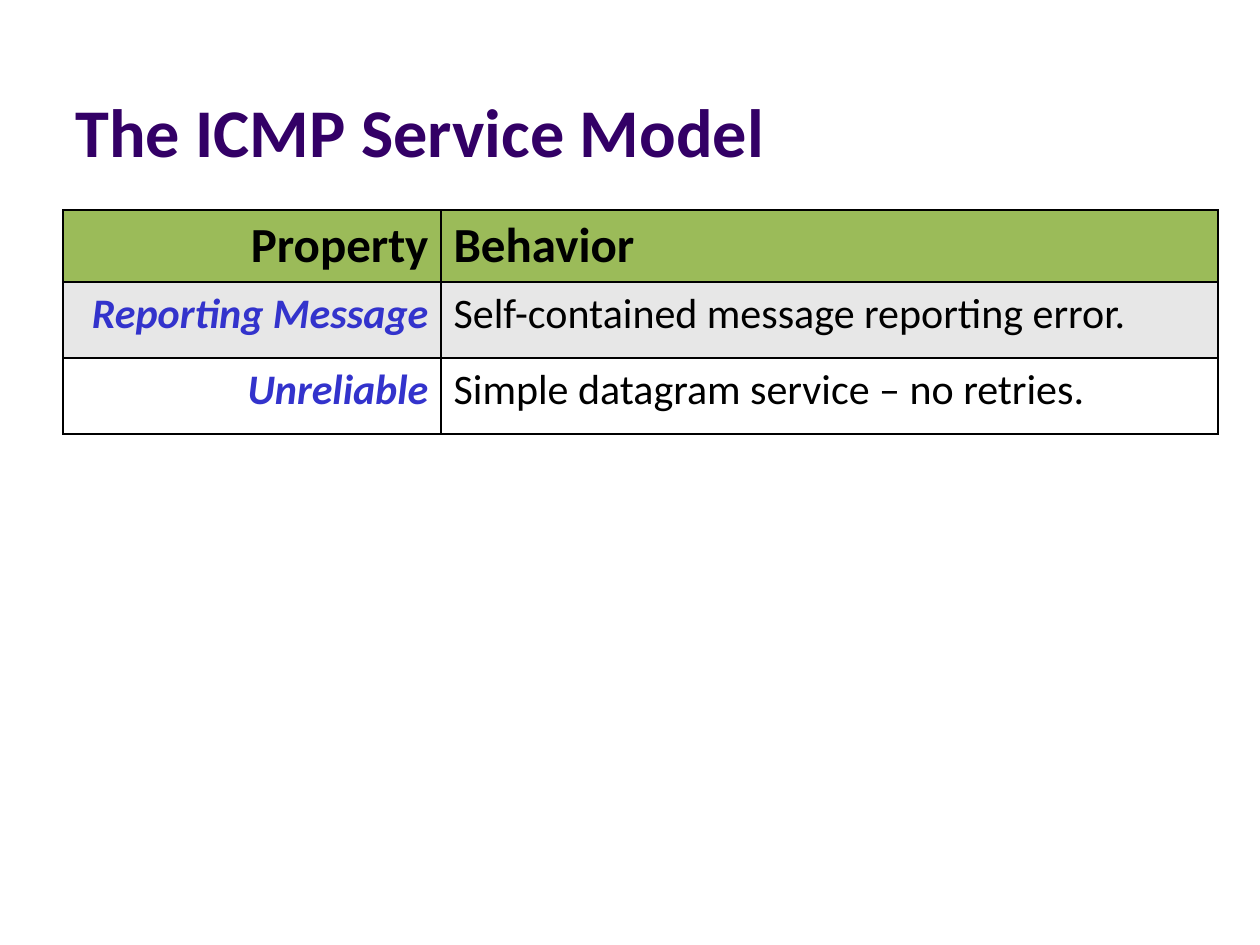
from dataclasses import dataclass

from lxml import etree
from pptx import Presentation
from pptx.dml.color import RGBColor
from pptx.enum.text import MSO_ANCHOR, PP_ALIGN
from pptx.oxml.ns import qn
from pptx.slide import Slide
from pptx.table import _Cell
from pptx.text.text import _Paragraph
from pptx.util import Emu, Pt

LEFT, RIGHT = PP_ALIGN.LEFT, PP_ALIGN.RIGHT
TOP, BOTTOM = MSO_ANCHOR.TOP, MSO_ANCHOR.BOTTOM
SCALE = 914400 / 126


@dataclass(frozen=True)
class Theme:
    font: str = "Calibri"
    title: str = "330066"
    ink: str = "000000"
    term: str = "3333CC"
    head: str = "9BBB59"
    band: str = "E7E7E7"
    plain: str = "FFFFFF"
    title_size: int = 39
    head_size: int = 28
    body_size: int = 24
    line: int = 1


@dataclass(frozen=True)
class Style:
    size: int
    color: str
    bold: bool = False
    italic: bool = False


@dataclass(frozen=True)
class Row:
    name: str
    text: str
    height: int
    fill: str
    left: Style
    right: Style


THEME = Theme()
TITLE = Style(THEME.title_size, THEME.title, bold=True)
HEAD = Style(THEME.head_size, THEME.ink, bold=True)
TERM = Style(THEME.body_size, THEME.term, bold=True, italic=True)
BODY = Style(THEME.body_size, THEME.ink)

COLUMNS = (378, 777)
ROWS = (
    Row("Property", "Behavior", 72, THEME.head, HEAD, HEAD),
    Row("Reporting Message", "Self-contained message reporting error.",
        76, THEME.band, TERM, BODY),
    Row("Unreliable", "Simple datagram service – no retries.",
        76, THEME.plain, TERM, BODY),
)


def px(value: int) -> Emu:
    return Emu(round(value * SCALE))


def add_run(para: _Paragraph, text: str, style: Style) -> None:
    run = para.add_run()
    run.text = text
    font = run.font
    font.name = THEME.font
    font.size = Pt(style.size)
    font.bold = style.bold
    font.italic = style.italic
    font.color.rgb = RGBColor.from_string(style.color)


def add_title(slide: Slide, text: str) -> None:
    box = slide.shapes.add_textbox(px(63), px(16), px(1134), px(161))
    frame = box.text_frame
    frame.word_wrap = True
    frame.vertical_anchor = BOTTOM
    add_run(frame.paragraphs[0], text, TITLE)


def add_border(cell: _Cell) -> None:
    props = cell._tc.get_or_add_tcPr()
    for side in ("lnL", "lnR", "lnT", "lnB"):
        line = etree.SubElement(props, qn(f"a:{side}"), w=str(Pt(THEME.line)))
        fill = etree.SubElement(line, qn("a:solidFill"))
        etree.SubElement(fill, qn("a:srgbClr"), val=THEME.ink)


def fill_cell(cell: _Cell, text: str, style: Style, fill: str,
              align: PP_ALIGN) -> None:
    cell.vertical_anchor = TOP
    add_border(cell)
    cell.fill.solid()
    cell.fill.fore_color.rgb = RGBColor.from_string(fill)
    para = cell.text_frame.paragraphs[0]
    para.alignment = align
    add_run(para, text, style)


def add_grid(slide: Slide) -> None:
    height = sum(row.height for row in ROWS)
    frame = slide.shapes.add_table(len(ROWS), len(COLUMNS), px(63), px(210),
                                   px(sum(COLUMNS)), px(height))
    table = frame.table
    for column, width in zip(table.columns, COLUMNS):
        column.width = px(width)
    for index, row in enumerate(ROWS):
        table.rows[index].height = px(row.height)
        fill_cell(table.cell(index, 0), row.name, row.left, row.fill, RIGHT)
        fill_cell(table.cell(index, 1), row.text, row.right, row.fill, LEFT)


def main() -> None:
    deck = Presentation()
    deck.slide_width, deck.slide_height = px(1260), px(945)
    slide = deck.slides.add_slide(deck.slide_layouts[6])
    add_title(slide, "The ICMP Service Model")
    add_grid(slide)
    deck.save("out.pptx")


if __name__ == "__main__":
    main()
